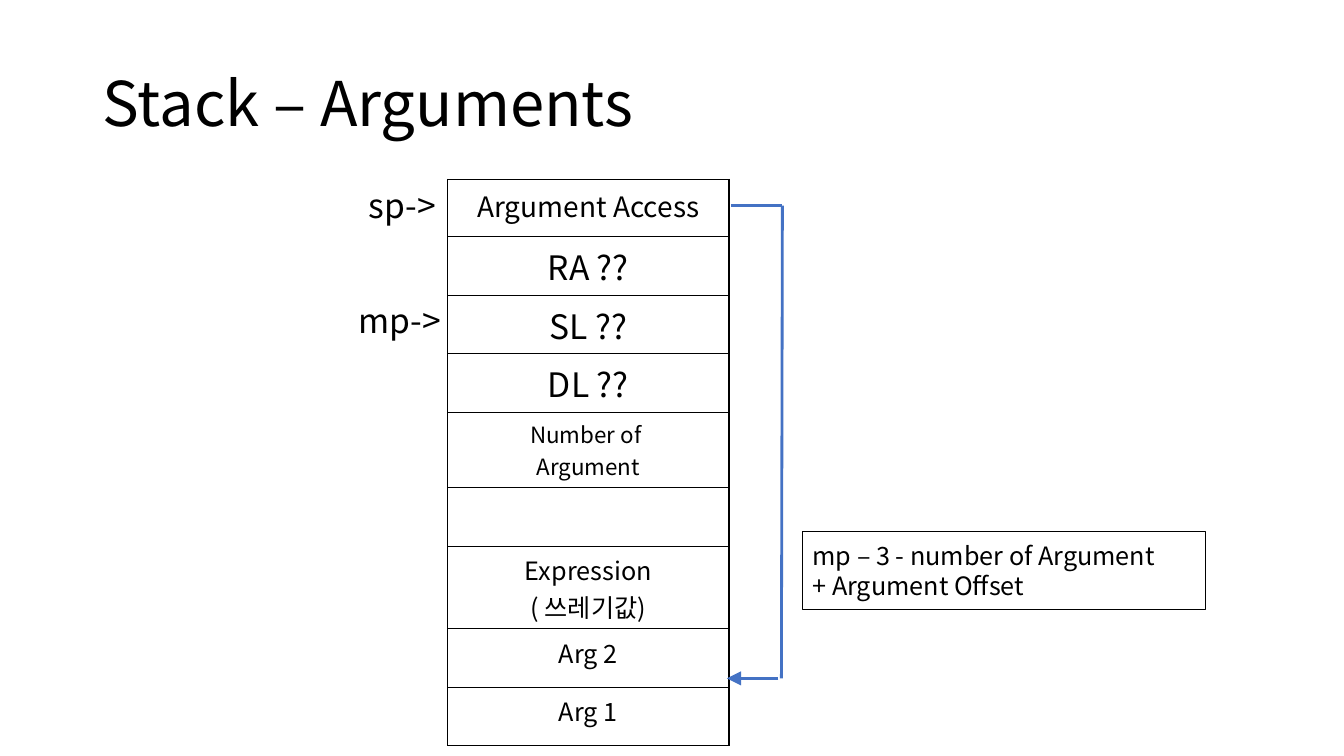
"""Build a slide that shows how arguments are reached on the stack."""
import pptx
import pptx.dml.color
import pptx.enum.shapes
import pptx.enum.text
import pptx.oxml.ns
import pptx.util
from lxml import etree

PX = 9144
FONT = "Noto Sans CJK KR"
BLACK, WHITE, BLUE = "000000", "FFFFFF", "4472C4"
ROW_HEIGHT = 58
STACK = [
    ("Argument Access", 20, 57),
    ("RA ??", 24, ROW_HEIGHT),
    ("SL ??", 24, ROW_HEIGHT),
    ("DL ??", 24, ROW_HEIGHT),
    ("Number of \nArgument", 16, 75),
    ("", 18, ROW_HEIGHT),
    ("Expression\n( 쓰레기값)", 18, 82),
    ("Arg 2", 18, ROW_HEIGHT),
    ("Arg 1", 18, ROW_HEIGHT),
]


def px(*lengths):
    return [pptx.util.Emu(n * PX) for n in lengths]


def color(value):
    return pptx.dml.color.RGBColor.from_string(value)


def add_xml(parent, tag, **attrs):
    return etree.SubElement(parent, pptx.oxml.ns.qn(tag), attrs)


def write(tf, text, size, align=pptx.enum.text.PP_ALIGN.LEFT):
    tf.text = text
    for p in tf.paragraphs:
        p.alignment = align
        for r in p.runs:
            r.font.size = pptx.util.Pt(size)
            r.font.name = FONT
            r.font.color.rgb = color(BLACK)
            add_xml(r.font._element, "a:ea", typeface=FONT)


def add_title(s, text, box):
    tf = s.shapes.add_textbox(*px(*box)).text_frame
    tf.word_wrap = True
    tf.vertical_anchor = pptx.enum.text.MSO_ANCHOR.MIDDLE
    write(tf, text, 44)
    tf.paragraphs[0].line_spacing = 0.9


def add_box(s, text, size, box, line):
    sp = s.shapes.add_shape(pptx.enum.shapes.MSO_SHAPE.RECTANGLE, *px(*box))
    sp.shadow.inherit = False
    sp.fill.solid()
    sp.fill.fore_color.rgb = color(WHITE)
    sp.line.color.rgb = color(line)
    sp.line.width = pptx.util.Pt(1)
    sp.text_frame.vertical_anchor = pptx.enum.text.MSO_ANCHOR.MIDDLE
    write(sp.text_frame, text, size)


def add_borders(cell):
    tc_pr = cell._tc.get_or_add_tcPr()
    for tag in ("a:lnL", "a:lnR", "a:lnT", "a:lnB"):
        ln = add_xml(tc_pr, tag, w=str(pptx.util.Pt(1)))
        add_xml(add_xml(ln, "a:solidFill"), "a:srgbClr", val=BLACK)


def add_stack(s, rows, left, top, width):
    height = sum(row[2] for row in rows)
    frame = s.shapes.add_table(len(rows), 1, *px(left, top, width, height))
    table = frame.table
    table.first_row = table.horz_banding = False
    for i, (text, size, row_height) in enumerate(rows):
        table.rows[i].height = px(row_height)[0]
        cell = table.cell(i, 0)
        add_borders(cell)
        cell.fill.background()
        write(cell.text_frame, text, size, pptx.enum.text.PP_ALIGN.CENTER)


def add_line(s, start, end, arrow=False):
    kind = pptx.enum.shapes.MSO_CONNECTOR.STRAIGHT
    line = s.shapes.add_connector(kind, *px(*start, *end))
    line.line.color.rgb = color(BLUE)
    line.line.width = pptx.util.Pt(2)
    if arrow:
        add_xml(line.line._get_or_add_ln(), "a:tailEnd",
                type="triangle", w="lg", len="lg")
    add_xml(line._element.spPr, "a:effectLst")


def main():
    prs = pptx.Presentation()
    prs.slide_width, prs.slide_height = px(1333, 750)
    s = prs.slides.add_slide(prs.slide_layouts[6])
    add_box(s, "mp->", 24, (346, 294, 115, 47), WHITE)
    add_box(s, "sp->", 24, (356, 180, 106, 47), WHITE)
    add_title(s, "Stack – Arguments", (92, 33, 1150, 145))
    add_stack(s, STACK, 444, 178, 279)
    add_box(s, "mp – 3 - number of Argument\n+ Argument Offset", 18,
            (796, 527, 400, 78), BLACK)
    add_line(s, (772, 673), (721, 673), arrow=True)
    add_line(s, (725, 204), (776, 204))
    add_line(s, (776, 204), (775, 673))
    prs.save("out.pptx")


if __name__ == "__main__":
    main()
